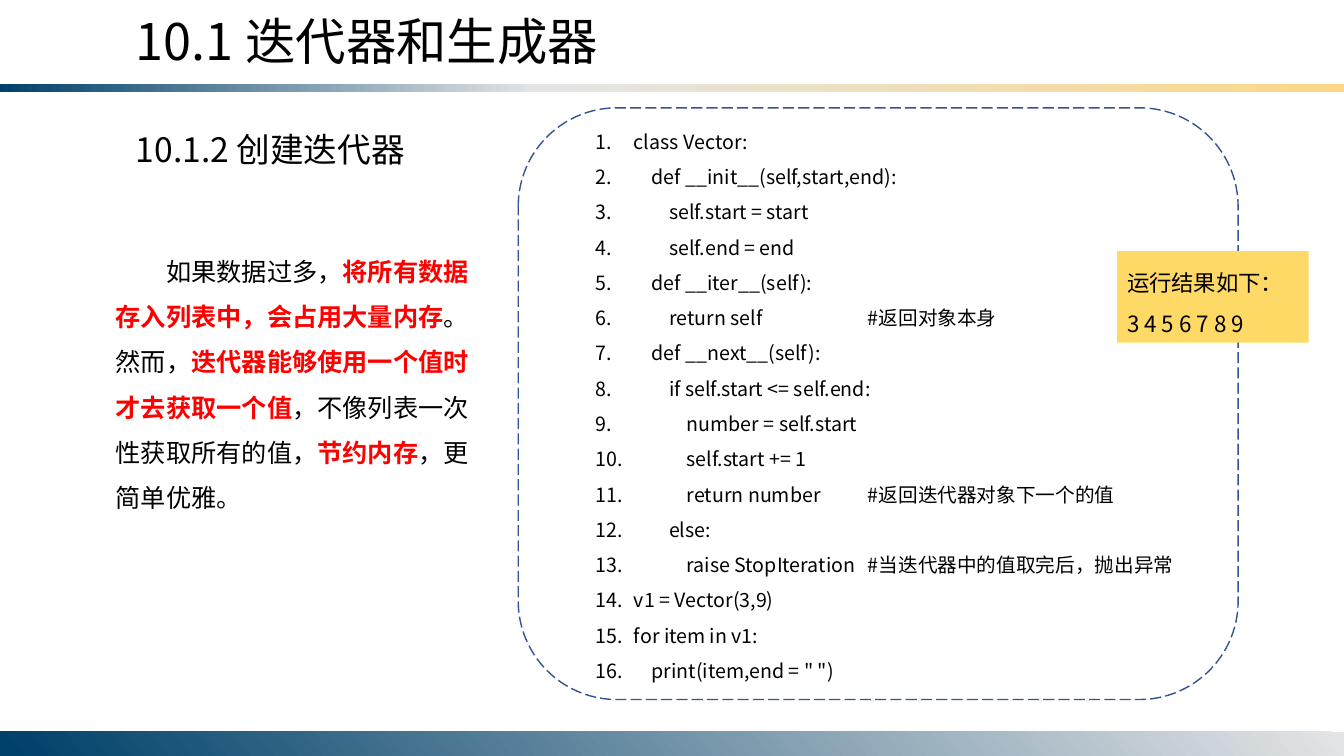
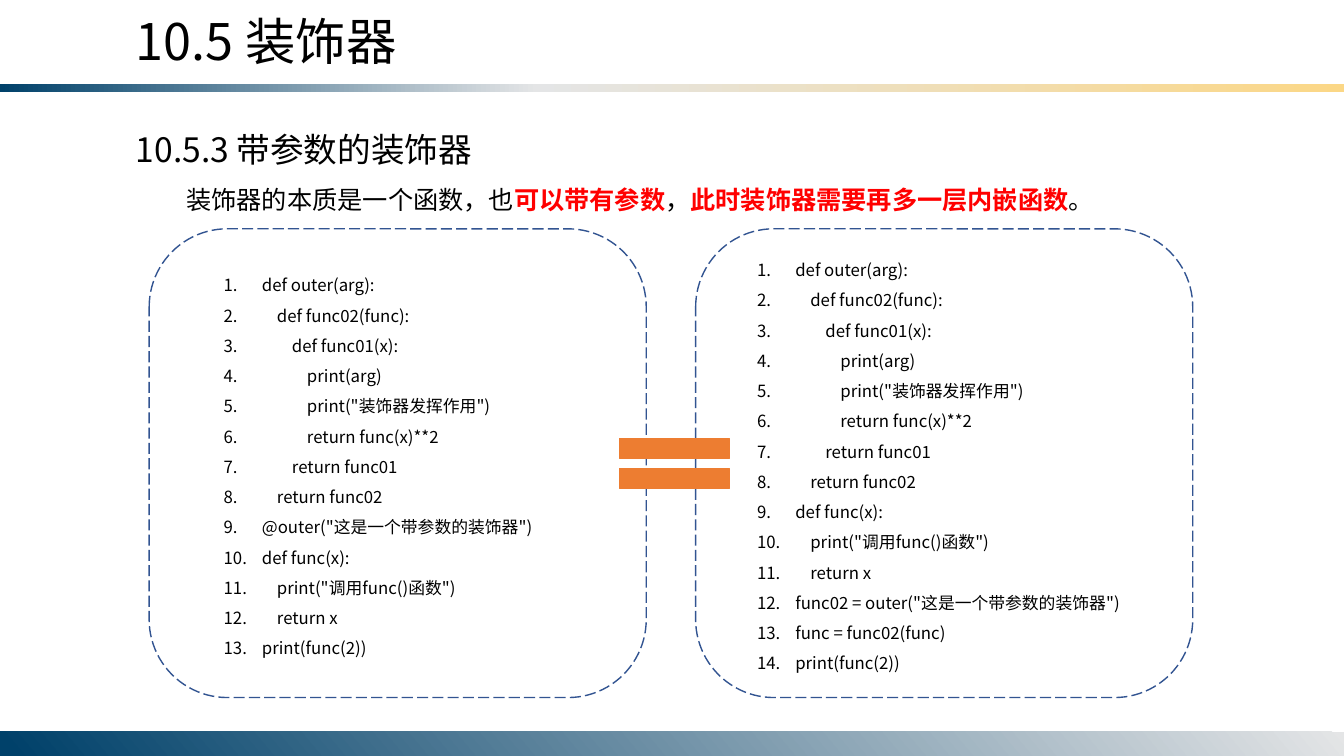
from pptx import Presentation
from pptx.dml.color import RGBColor
from pptx.enum.dml import MSO_LINE
from pptx.enum.shapes import MSO_SHAPE
from pptx.oxml import parse_xml
from pptx.oxml.ns import nsdecls, qn
from pptx.util import Emu, Inches, Pt

FONT = "Noto Sans CJK SC"
BLACK = RGBColor(0x00, 0x00, 0x00)
RED = RGBColor(0xFF, 0x00, 0x00)
NAVY = RGBColor(0x00, 0x41, 0x6A)
SILVER = RGBColor(0xE4, 0xE5, 0xE6)
SAND = RGBColor(0xFB, 0xD7, 0x86)
FRAME_BLUE = RGBColor(0x32, 0x54, 0x91)
YELLOW = RGBColor(0xFF, 0xD9, 0x66)
ORANGE = RGBColor(0xED, 0x7D, 0x31)

WIDTH, HEIGHT = 13.33, 7.5
TEXT_LEFT = 1.25
COMMENT_TAB = 2.7
NUMBER_INDENT = 0.38
# Each band: box, counter-clockwise angle, stops as (percent, colour)
BANDS = [
    ((0, 0.83, WIDTH, 0.08), 0, [(0, NAVY), (40, SILVER), (100, SAND)]),
    ((0, HEIGHT - 0.24, WIDTH, 0.24), 220, [(0, SILVER), (99, NAVY)]),
]

# Text pieces are (text, emphasised)
ITERATOR_NOTE = [
    ("如果数据过多，", False),
    ("将所有数据存入列表中，会占用大量内存", True),
    ("。然而，", False),
    ("迭代器能够使用一个值时才去获取一个值", True),
    ("，不像列表一次性获取所有的值，", False),
    ("节约内存", True),
    ("，更简单优雅。", False),
]
DECORATOR_NOTE = [
    ("装饰器的本质是一个函数，也", False),
    ("可以带有参数", True),
    ("，", False),
    ("此时装饰器需要再多一层内嵌函数", True),
    ("。", False),
]
ITERATOR_CODE = [
    "class Vector:",
    "    def __init__(self,start,end):",
    "        self.start = start",
    "        self.end = end",
    "    def __iter__(self):",
    "        return self\t#返回对象本身",
    "    def __next__(self):",
    "        if self.start <= self.end:",
    "            number = self.start",
    "            self.start += 1",
    "            return number\t#返回迭代器对象下一个的值",
    "        else:",
    "            raise StopIteration\t#当迭代器中的值取完后，抛出异常",
    "v1 = Vector(3,9)",
    "for item in v1:",
    '    print(item,end = " ")',
]
ITERATOR_RESULT = ["运行结果如下：", "3 4 5 6 7 8 9"]
OUTER_CODE = [
    "def outer(arg):",
    "    def func02(func):",
    "        def func01(x):",
    "            print(arg)",
    '            print("装饰器发挥作用")',
    "            return func(x)**2",
    "        return func01",
    "    return func02",
]
FUNC_CODE = [
    "def func(x):",
    '    print("调用func()函数")',
    "    return x",
]
CALL_CODE = ["print(func(2))"]
SUGAR_CODE = OUTER_CODE + ['@outer("这是一个带参数的装饰器")'] + FUNC_CODE + CALL_CODE
EXPLICIT_CODE = OUTER_CODE + FUNC_CODE + [
    'func02 = outer("这是一个带参数的装饰器")',
    "func = func02(func)",
] + CALL_CODE


def inches(box):
    return [Inches(length) for length in box]


def set_indent(paragraph, left, first):
    properties = paragraph._p.get_or_add_pPr()
    properties.set("marL", str(Inches(left)))
    properties.set("indent", str(Inches(first)))


def number_line(paragraph):
    """Give a code line its automatic number and the tab stop for comments."""
    set_indent(paragraph, NUMBER_INDENT, -NUMBER_INDENT)
    properties = paragraph._p.get_or_add_pPr()
    properties.append(parse_xml(
        f'<a:buAutoNum {nsdecls("a")} type="arabicPeriod"/>'))
    properties.append(parse_xml(
        f'<a:tabLst {nsdecls("a")}>'
        f'<a:tab pos="{Inches(COMMENT_TAB)}" algn="l"/></a:tabLst>'))


def set_font(paragraph, size):
    font = paragraph.font
    font.name, font.size = FONT, Pt(size)
    font.color.rgb = BLACK
    latin = paragraph._p.pPr.find(qn("a:defRPr")).find(qn("a:latin"))
    latin.addnext(parse_xml(f'<a:ea {nsdecls("a")} typeface="{FONT}"/>'))


def add_text(slide, box, lines, size, spacing=1.0, first_indent=0, numbered=False):
    """Add a text box; each line is a string or a list of text pieces."""
    shape = slide.shapes.add_textbox(*inches(box))
    frame = shape.text_frame
    frame.word_wrap = True
    for index, line in enumerate(lines):
        paragraph = frame.add_paragraph() if index else frame.paragraphs[0]
        paragraph.line_spacing = spacing
        if numbered:
            number_line(paragraph)
        elif first_indent:
            set_indent(paragraph, 0, first_indent)
        set_font(paragraph, size)
        pieces = [(line, False)] if isinstance(line, str) else line
        for text, emphasised in pieces:
            run = paragraph.add_run()
            run.text = text
            if emphasised:
                run.font.bold = True
                run.font.color.rgb = RED
    return shape


def add_shape(slide, kind, box):
    shape = slide.shapes.add_shape(kind, *inches(box))
    shape.shadow.inherit = False
    return shape


def add_band(slide, box, angle, stops):
    band = add_shape(slide, MSO_SHAPE.RECTANGLE, box)
    band.line.fill.background()
    band.fill.gradient()
    band.fill.gradient_angle = angle
    stop_list = band._element.spPr.find(qn("a:gradFill")).find(qn("a:gsLst"))
    for stop in list(stop_list):
        stop_list.remove(stop)
    for percent, colour in stops:
        stop_list.append(parse_xml(
            f'<a:gs {nsdecls("a")} pos="{percent * 1000}">'
            f'<a:srgbClr val="{colour}"/></a:gs>'))


def add_code(slide, frame_box, text_box, lines, size):
    """Add numbered code inside a dashed rounded frame."""
    code = add_text(slide, text_box, lines, size, spacing=1.5, numbered=True)
    code.text_frame.margin_right = Emu(0)
    frame = add_shape(slide, MSO_SHAPE.ROUNDED_RECTANGLE, frame_box)
    frame.fill.background()
    frame.line.color.rgb = FRAME_BLUE
    frame.line.width = Pt(1)
    frame.line.dash_style = MSO_LINE.LONG_DASH


def add_section_slide(presentation, title, subtitle):
    slide = presentation.slides.add_slide(presentation.slide_layouts[6])
    for band in BANDS:
        add_band(slide, *band)
    add_text(slide, (TEXT_LEFT, 0.05, 6.12, 0.71), [title], 36)
    add_text(slide, (TEXT_LEFT, 1.23, 5.16, 0.5), [subtitle], 24)
    return slide


def build_iterator_slide(presentation):
    slide = add_section_slide(presentation, "10.1 迭代器和生成器", "10.1.2 创建迭代器")
    add_text(slide, (1.05, 2.34, 3.88, 2.83), [ITERATOR_NOTE], 18,
             spacing=1.5, first_indent=0.5)
    add_code(slide, (5.14, 1.07, 7.14, 5.87), (5.81, 1.12, 6.34, 5.75),
             ITERATOR_CODE, 14)
    result = add_text(slide, (11.08, 2.49, 1.9, 0.91), ITERATOR_RESULT, 16, spacing=1.5)
    result.fill.solid()
    result.fill.fore_color.rgb = YELLOW


def build_decorator_slide(presentation):
    slide = add_section_slide(presentation, "10.5 装饰器", "10.5.3 带参数的装饰器")
    add_text(slide, (TEXT_LEFT, 1.63, 10.89, 0.55), [DECORATOR_NOTE], 18,
             spacing=1.5, first_indent=0.5)
    frame_top, frame_width, frame_height = 2.27, 4.93, 4.65
    listings = [
        (1.48, (2.12, 2.58, 3.66, 4.04), SUGAR_CODE),
        (6.9, (7.41, 2.43, 3.91, 4.34), EXPLICIT_CODE),
    ]
    for left, text_box, lines in listings:
        add_code(slide, (left, frame_top, frame_width, frame_height),
                 text_box, lines, 12)
    equal_sign = add_shape(slide, MSO_SHAPE.MATH_EQUAL, (5.95, 4.18, 1.48, 0.84))
    equal_sign.fill.solid()
    equal_sign.fill.fore_color.rgb = ORANGE
    equal_sign.line.color.rgb = ORANGE
    equal_sign.line.width = Pt(1)


def main():
    presentation = Presentation()
    presentation.slide_width = Inches(WIDTH)
    presentation.slide_height = Inches(HEIGHT)
    build_iterator_slide(presentation)
    build_decorator_slide(presentation)
    presentation.save("out.pptx")


if __name__ == "__main__":
    main()
